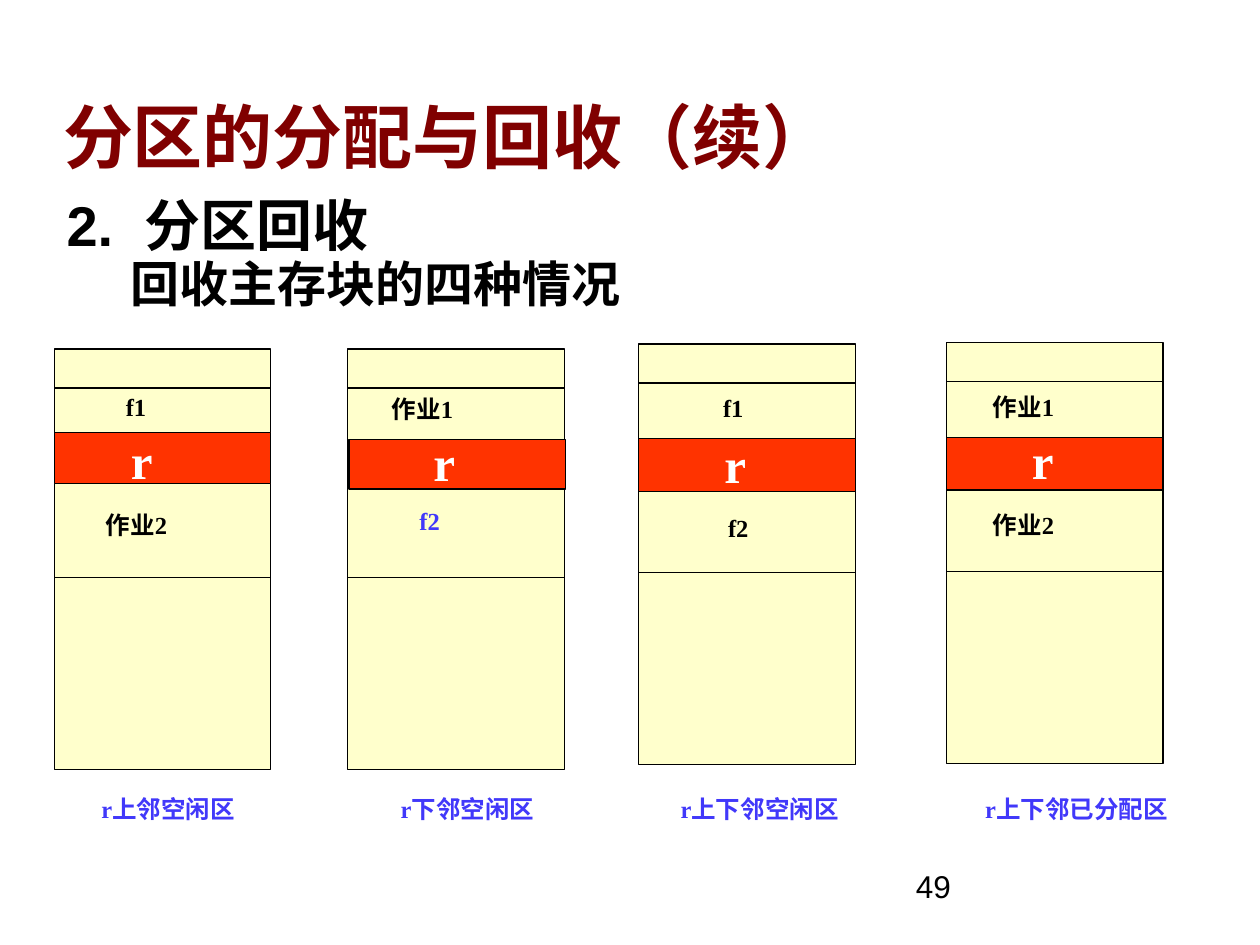
"""Build the slide on the four cases of returning a memory partition."""
from lxml.etree import SubElement
from pptx import Presentation
from pptx.dml.color import RGBColor
from pptx.enum.shapes import MSO_CONNECTOR as Connector, MSO_SHAPE as Shape
from pptx.enum.text import MSO_ANCHOR as Anchor, PP_ALIGN as Align
from pptx.oxml.ns import qn
from pptx.util import Inches, Pt

BLACK, BLUE, WHITE, MAROON = "000000", "4138FA", "FFFFFF", "800000"
CREAM, RED = "FFFFCC", "FF3300"
SERIF, SANS = "Times New Roman", "Arial"

presentation = Presentation()
presentation.slide_width, presentation.slide_height = Inches(10), Inches(7.5)
slide = presentation.slides.add_slide(presentation.slide_layouts[5])
column, row = presentation.slide_width / 100, presentation.slide_height / 75


def paint(color_format, color):
    color_format.rgb = RGBColor.from_string(color)


def write(text, left, top, width, height, holder=None, size=14, font=SERIF, color=BLACK,
          bold=True, align=Align.LEFT, anchor=Anchor.TOP, spacing=1.0):
    box = holder or slide.shapes.add_textbox(0, 0, 0, 0)
    box.left, box.top = int(left * column), int(top * row)
    box.width, box.height = int(width * column), int(height * row)
    frame = box.text_frame
    frame.word_wrap, frame.vertical_anchor = True, anchor
    frame.text = text
    for paragraph in frame.paragraphs:
        paragraph.alignment, paragraph.line_spacing = align, spacing
        paragraph.font.size, paragraph.font.bold = Pt(size), bold
        for run in paragraph.runs:
            run.font.name, run.font.size, run.font.bold = font, Pt(size), bold
            paint(run.font.color, color)
    return frame


write("分区的分配与回收（续）", 4, 7.1, 91.8, 7.6, holder=slide.shapes.title, size=40,
      font=SANS, color=MAROON, anchor=Anchor.BOTTOM, spacing=0.9)
body = write("2.\t分区回收\n回收主存块的四种情况", 4.3, 15.2, 91.7, 11.9, size=32,
             font=SANS, spacing=0.9)
heading, subheading = body.paragraphs
for paragraph, indent in ((heading, -0.62), (subheading, 0)):
    properties = paragraph._p.get_or_add_pPr()
    properties.set("marL", str(Inches(0.62 if indent else 0.51)))
    properties.set("indent", str(Inches(indent)))
subheading.space_before = Pt(1)
subheading.runs[0].font.size = Pt(28)

BLOCK_WIDTH, BLOCK_HEIGHT = 17.2, 33.4
UPPER_LINE, LOWER_LINE = 3.1, 18.15
cases = [
    dict(left=4.3, top=27.7, freed=(4.3, 34.3, 4.1), mark=(9.4, 33.7),
         upper=("f1", 9, 30.6, BLACK), lower=("作业2", 7.4, 40, BLACK),
         caption=("r上邻空闲区", 2.5, 21.7)),
    dict(left=27.6, top=27.7, freed=(27.7, 34.9, 3.9), mark=(33.4, 33.8),
         upper=("作业1", 30.1, 30.8, BLACK), lower=("f2", 32.3, 39.7, BLUE),
         caption=("r下邻空闲区", 26.7, 20.8)),
    dict(left=50.7, top=27.3, freed=(50.7, 34.8, 4.2), mark=(56.5, 34),
         upper=("f1", 56.4, 30.7, BLACK), lower=("f2", 56.8, 40.2, BLACK),
         caption=("r上下邻空闲区", 48.3, 24)),
    dict(left=75.1, top=27.2, freed=(75.1, 34.7, 4.2), mark=(80.9, 33.7),
         upper=("作业1", 77.8, 30.6, BLACK), lower=("作业2", 77.8, 40, BLACK),
         caption=("r上下邻已分配区", 71.7, 27.5)),
]

for case in cases:
    left, top = case["left"], case["top"]
    freed_left, freed_top, freed_height = case["freed"]
    for x, y, height, color in ((left, top, BLOCK_HEIGHT, CREAM),
                                (freed_left, freed_top, freed_height, RED)):
        block = slide.shapes.add_shape(Shape.RECTANGLE, int(x * column), int(y * row),
                                       int(BLOCK_WIDTH * column), int(height * row))
        block.shadow.inherit = False
        block.fill.solid()
        paint(block.fill.fore_color, color)
        paint(block.line.color, BLACK)
        block.line.width = Pt(0.75)
    for offset in (UPPER_LINE, LOWER_LINE):
        y = int((top + offset) * row)
        divider = slide.shapes.add_connector(Connector.STRAIGHT, int(left * column), y,
                                             int((left + BLOCK_WIDTH) * column), y)
        paint(divider.line.color, BLACK)
        divider.line.width = Pt(0.75)
        SubElement(divider._element.spPr, qn("a:effectLst"))
    write("r", *case["mark"], 6.9, 5.7, size=28, color=WHITE)
    for text, x, y, color in (case["upper"], case["lower"]):
        write(text, x, y, 11.9 if text.startswith("作业") else 6.5, 5, color=color)
    text, x, width = case["caption"]
    write(text, x, 62.5, width, 5, color=BLUE, align=Align.CENTER)

write("49", 71.7, 68.3, 20.8, 5, size=18, font=SANS, bold=False)

presentation.save("out.pptx")
